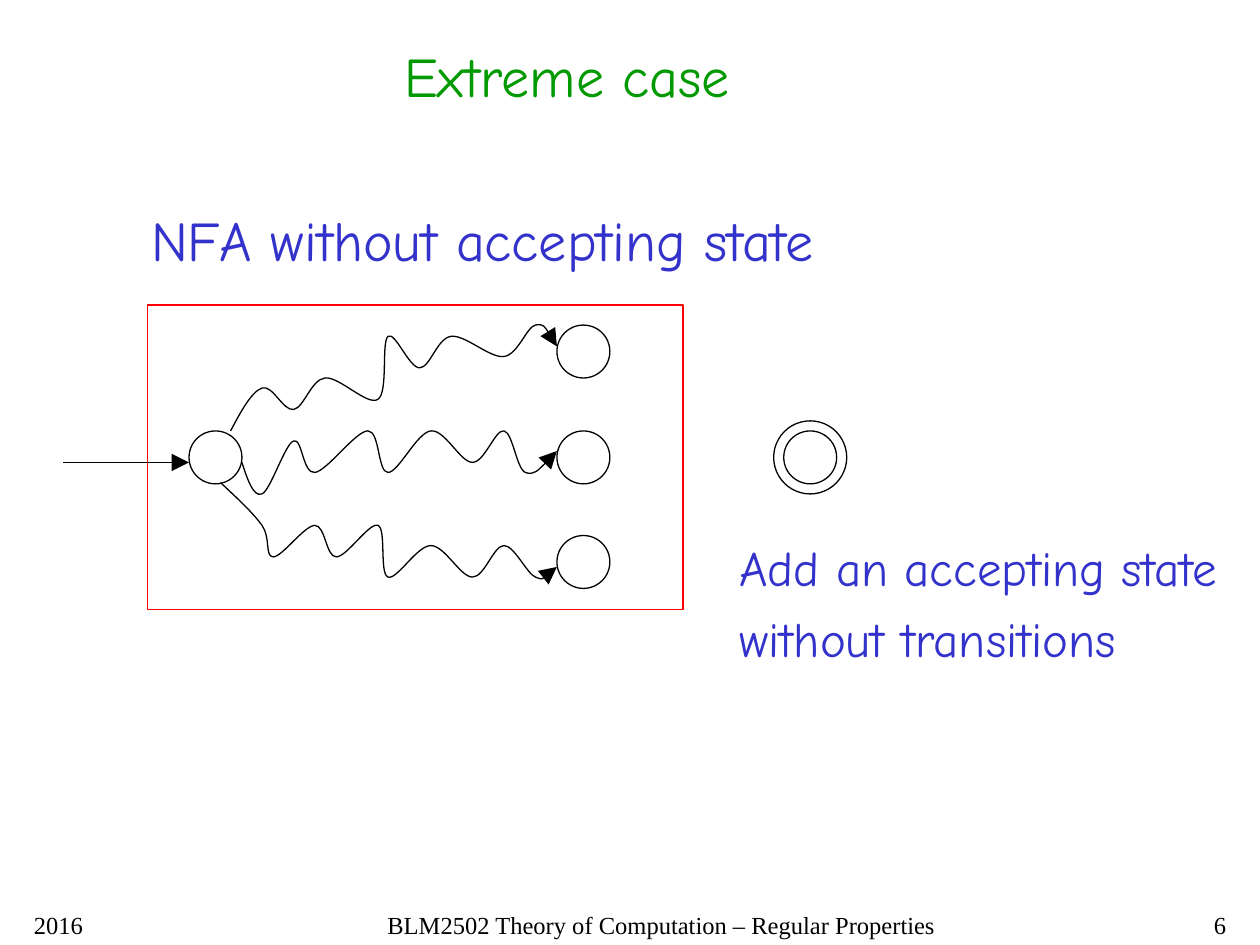
from lxml import etree
from pptx import Presentation
from pptx.dml.color import RGBColor
from pptx.enum import shapes, text
from pptx.oxml.ns import qn
from pptx.util import Inches, Pt

BLACK = RGBColor(0, 0, 0)
RED = RGBColor(0xFF, 0, 0)
BLUE = RGBColor(0x33, 0x33, 0xCC)
GREEN = RGBColor(0, 0x99, 0)
HAND, SERIF = "Comic Neue", "Times New Roman"
LEFT, CENTER, RIGHT = text.PP_ALIGN.LEFT, text.PP_ALIGN.CENTER, text.PP_ALIGN.RIGHT

# lines, (left, top, width, height), size, colour
HEADINGS = [
    (["Extreme case"], (3.11, 0.28, 2.8, 0.64), 32, GREEN),
    (["NFA without accepting state"], (1.1, 1.58, 5.49, 0.64), 32, BLUE),
    (["Add an accepting state", "without transitions"], (5.77, 4.22, 4.01, 1.13), 28, BLUE),
]
FOOTERS = [
    ("2016", (0.17, 7.17, 2.08, 0.33), LEFT),
    ("BLM2502 Theory of Computation – Regular Properties", (2.75, 7.17, 5, 0.25), CENTER),
    ("6", (7.75, 7.17, 2.08, 0.33), RIGHT),
]
NFA_BOX = (1.17, 2.42, 4.25, 2.42)
STATE, ACCEPT_RING = 0.42, 0.58
START_CENTER = (1.71, 3.63)
END_CENTERS = [(4.63, 2.79), (4.63, 3.63), (4.63, 4.46)]
ACCEPT_CENTER = (6.43, 3.63)
ENTRY = (0.5, 3.67, 1.5, 3.67)
# points that each computation path passes through
COMPUTATIONS = [
    [(1.83, 3.42), (2.08, 3.08), (2.33, 3.25), (2.58, 3), (3, 3.17), (3.08, 2.67),
     (3.33, 2.92), (3.58, 2.67), (4, 2.83), (4.25, 2.58), (4.42, 2.75)],
    [(1.92, 3.67), (2.08, 3.92), (2.33, 3.5), (2.5, 3.75), (2.92, 3.42), (3.08, 3.75),
     (3.42, 3.42), (3.75, 3.67), (4, 3.42), (4.17, 3.75), (4.42, 3.58)],
    [(1.75, 3.83), (2.08, 4.17), (2.17, 4.42), (2.5, 4.17), (2.67, 4.42), (3, 4.17),
     (3.08, 4.58), (3.42, 4.33), (3.75, 4.58), (4, 4.33), (4.25, 4.58), (4.42, 4.5)],
]


def outline(shape, color=BLACK):
    shape.shadow.inherit = False
    shape.fill.background()
    shape.line.color.rgb = color
    shape.line.width = Pt(0.75)


def add_arrowhead(line):
    etree.SubElement(line.line._get_or_add_ln(), qn("a:tailEnd"),
                     type="triangle", w="lg", len="lg")


def add_circle(slide, center, size):
    left, top = (c - size / 2 for c in center)
    outline(slide.shapes.add_shape(shapes.MSO_SHAPE.OVAL, Inches(left), Inches(top),
                                   Inches(size), Inches(size)))


def control_points(knots):
    """Bezier handles of each segment: each tangent is parallel to its neighbours' chord."""
    last = len(knots) - 1

    def handle(i, sign):
        return tuple(k + sign * (after - before) / 6
                     for before, k, after in zip(knots[i - 1], knots[i], knots[i + 1]))

    def halfway(a, b):
        return tuple((p + q) / 2 for p, q in zip(a, b))

    for i in range(last):
        first = handle(i, 1) if i > 0 else None
        second = handle(i + 1, -1) if i + 1 < last else None
        yield (first or halfway(knots[0], second), second or halfway(knots[last], first))


def add_wavy_arrow(slide, points):
    knots = [(Inches(x), Inches(y)) for x, y in points]
    builder = slide.shapes.build_freeform(*knots[0])
    builder.add_line_segments(knots[1:], close=False)
    wave = builder.convert_to_shape()
    outline(wave)
    add_arrowhead(wave)
    # Turn each straight segment into a curve by putting its two handles before its end.
    segments = wave._element.findall(".//" + qn("a:lnTo"))
    for segment, handles in zip(segments, control_points(knots)):
        segment.tag = qn("a:cubicBezTo")
        for place, (x, y) in enumerate(handles):
            handle = etree.Element(qn("a:pt"), x=str(round(x - wave.left)),
                                   y=str(round(y - wave.top)))
            segment.insert(place, handle)


def add_text(slide, lines, place, size, color, font, align=LEFT, wrap=True):
    frame = slide.shapes.add_textbox(*map(Inches, place)).text_frame
    frame.word_wrap = wrap
    if not wrap:
        frame.auto_size = text.MSO_AUTO_SIZE.SHAPE_TO_FIT_TEXT
    for i, line in enumerate(lines):
        paragraph = frame.add_paragraph() if i else frame.paragraphs[0]
        paragraph.text = line
        paragraph.alignment = align
        if i:
            paragraph.space_before = Pt(size / 4)
        paragraph.font.size = Pt(size)
        paragraph.font.name = font
        paragraph.font.color.rgb = color


def main():
    prs = Presentation()
    prs.slide_width, prs.slide_height = Inches(10), Inches(7.5)
    slide = prs.slides.add_slide(prs.slide_layouts[6])

    outline(slide.shapes.add_shape(shapes.MSO_SHAPE.RECTANGLE, *map(Inches, NFA_BOX)), RED)
    for center in [START_CENTER, *END_CENTERS, ACCEPT_CENTER]:
        add_circle(slide, center, STATE)
    add_circle(slide, ACCEPT_CENTER, ACCEPT_RING)

    entry = slide.shapes.add_connector(shapes.MSO_CONNECTOR.STRAIGHT, *map(Inches, ENTRY))
    entry.line.color.rgb = BLACK
    entry.line.width = Pt(0.75)
    add_arrowhead(entry)
    etree.SubElement(entry._element.spPr, qn("a:effectLst"))

    for points in COMPUTATIONS:
        add_wavy_arrow(slide, points)
    for lines, place, size, color in HEADINGS:
        add_text(slide, lines, place, size, color, HAND, wrap=False)
    for line, place, align in FOOTERS:
        add_text(slide, [line], place, 14, BLACK, SERIF, align)
    prs.save("out.pptx")


if __name__ == "__main__":
    main()
